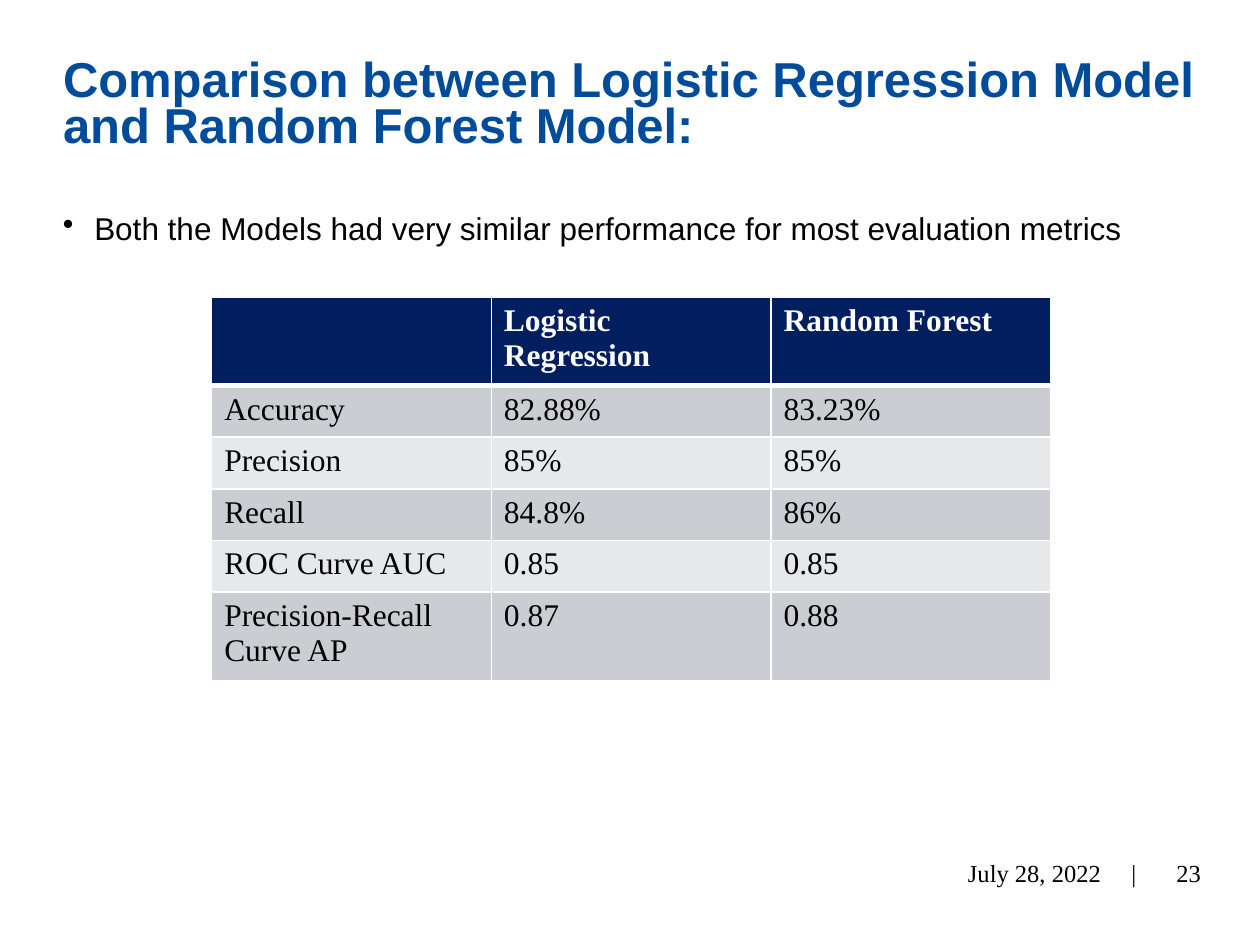
"""Build a slide comparing logistic regression with random forest metrics."""
from dataclasses import dataclass

from lxml import etree
from pptx import Presentation
from pptx.dml.color import RGBColor
from pptx.enum.text import MSO_ANCHOR, PP_ALIGN
from pptx.oxml.ns import qn
from pptx.util import Inches, Pt

TOP, MIDDLE = MSO_ANCHOR.TOP, MSO_ANCHOR.MIDDLE
LEFT, RIGHT = PP_ALIGN.LEFT, PP_ALIGN.RIGHT
TITLE_ONLY = 5


@dataclass(frozen=True)
class Theme:
    title: str = "004C9B"
    text: str = "000000"
    white: str = "FFFFFF"
    header: str = "011E5E"
    bands: tuple = ("CCCDD2", "E7E8EA")
    sans: str = "Arial"
    serif: str = "Times New Roman"
    title_size: int = 28
    body_size: int = 18
    footer_size: int = 14
    thin: int = 1
    thick: int = 3


theme = Theme()


def write_text(frame, text, *, size, font, color=theme.text, bold=False,
               align=LEFT, anchor=TOP, bullet=None, tabs=()):
    frame.word_wrap = True
    frame.vertical_anchor = anchor
    paragraph = frame.paragraphs[0]
    paragraph.text = text
    paragraph.alignment = align
    properties = paragraph._p.get_or_add_pPr()
    if bullet:
        properties.set("marL", str(Inches(0.25)))
        properties.set("indent", str(Inches(-0.25)))
        etree.SubElement(properties, qn("a:buChar"), char=bullet)
    if tabs:
        tab_list = etree.SubElement(properties, qn("a:tabLst"))
        for position in tabs:
            etree.SubElement(tab_list, qn("a:tab"), pos=str(Inches(position)), algn="r")
    paragraph.font.size = Pt(size)
    for run in paragraph.runs:
        run.font.name = font
        run.font.size = Pt(size)
        run.font.bold = bold
        run.font.color.rgb = RGBColor.from_string(color)
    return paragraph


def add_border(cell, side, width):
    line = etree.SubElement(cell._tc.get_or_add_tcPr(), qn(f"a:ln{side}"), w=str(Pt(width)))
    fill = etree.SubElement(line, qn("a:solidFill"))
    etree.SubElement(fill, qn("a:srgbClr"), val=theme.white)


presentation = Presentation()
presentation.slide_width, presentation.slide_height = Inches(10), Inches(7.5)
slide = presentation.slides.add_slide(presentation.slide_layouts[TITLE_ONLY])

title = slide.shapes.title
title.left, title.top = Inches(0.4), Inches(0.43)
title.width, title.height = Inches(9.24), Inches(1.17)
heading = write_text(
    title.text_frame, "Comparison between Logistic Regression Model and Random Forest Model:",
    size=theme.title_size, font=theme.sans, color=theme.title, bold=True)
heading.line_spacing = Pt(26.6)

text_boxes = [
    ((0.4, 1.61, 8.73, 4.62),
     "Both the Models had very similar performance for most evaluation metrics",
     dict(size=theme.body_size, font=theme.sans, bullet="•")),
    ((6.42, 6.73, 2.71, 0.4), "\tJuly 28, 2022\t|",
     dict(size=theme.footer_size, font=theme.serif, anchor=MIDDLE, tabs=(2.22, 2.5))),
    ((8.91, 6.73, 0.72, 0.4), "23",
     dict(size=theme.footer_size, font=theme.serif, anchor=MIDDLE, align=RIGHT)),
]
for bounds, text, text_format in text_boxes:
    box = slide.shapes.add_textbox(*map(Inches, bounds))
    write_text(box.text_frame, text, **text_format)

metrics = [
    ("", "Logistic Regression", "Random Forest"),
    ("Accuracy", "82.88%", "83.23%"),
    ("Precision", "85%", "85%"),
    ("Recall", "84.8%", "86%"),
    ("ROC Curve AUC", "0.85", "0.85"),
    ("Precision-Recall Curve AP", "0.87", "0.88"),
]
table = slide.shapes.add_table(
    len(metrics), len(metrics[0]), Inches(1.68), Inches(2.36), Inches(6.67), Inches(3.02)).table
for column in table.columns:
    column.width = Inches(2.22)
for row_index, values in enumerate(metrics):
    is_header = row_index == 0
    table.rows[row_index].height = Inches(0.41)
    fill_color = theme.header if is_header else theme.bands[(row_index - 1) % 2]
    widths = {
        "L": theme.thin,
        "R": theme.thin,
        "T": theme.thick if row_index == 1 else theme.thin,
        "B": theme.thick if is_header else theme.thin,
    }
    for column_index, value in enumerate(values):
        cell = table.cell(row_index, column_index)
        for side, width in widths.items():
            add_border(cell, side, width)
        cell.fill.solid()
        cell.fill.fore_color.rgb = RGBColor.from_string(fill_color)
        write_text(cell.text_frame, value, size=theme.body_size, font=theme.serif,
                   color=theme.white if is_header else theme.text, bold=is_header)

presentation.save("out.pptx")
